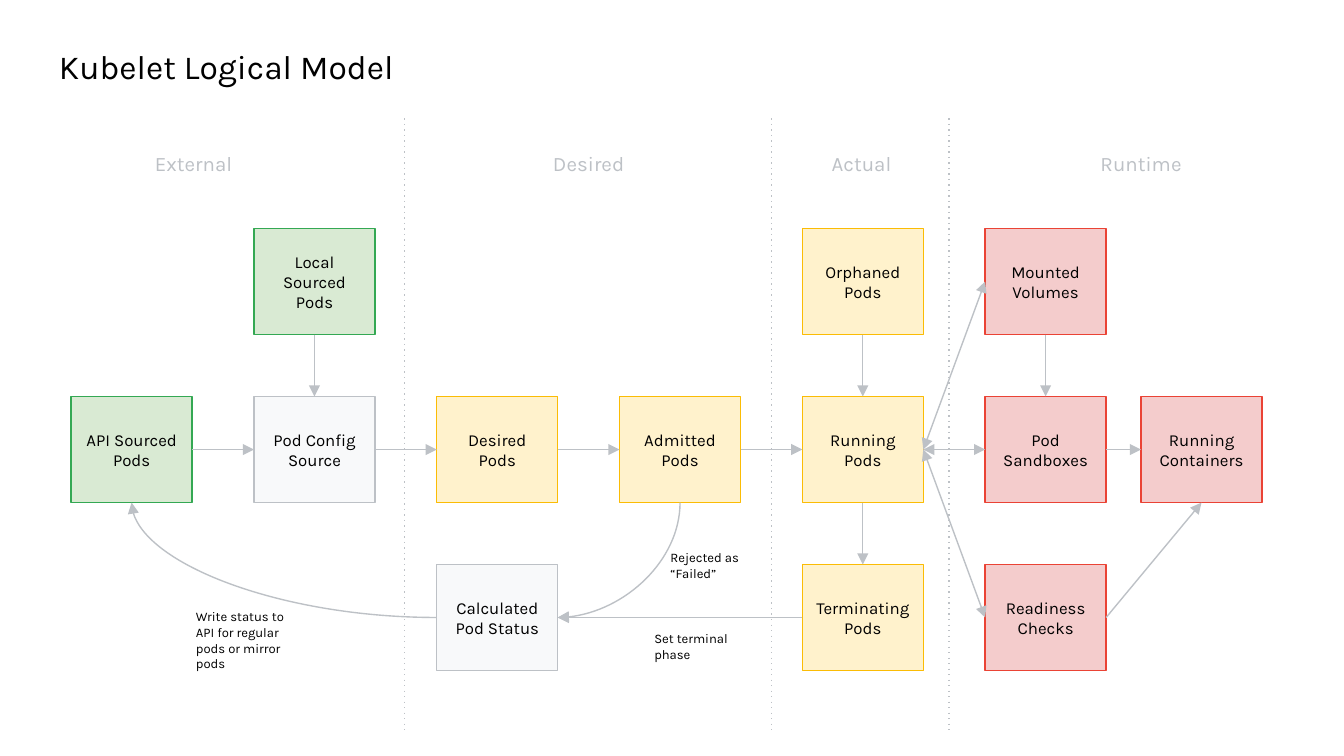
from lxml import etree
from pptx import Presentation
from pptx.dml.color import RGBColor
from pptx.enum.shapes import MSO_CONNECTOR, MSO_SHAPE
from pptx.enum.text import MSO_ANCHOR, MSO_AUTO_SIZE, PP_ALIGN
from pptx.oxml.ns import qn
from pptx.util import Inches, Pt

STRAIGHT, CURVE = MSO_CONNECTOR.STRAIGHT, MSO_CONNECTOR.CURVE
RECTANGLE = MSO_SHAPE.RECTANGLE
MIDDLE = MSO_ANCHOR.MIDDLE
FIT_SHAPE = MSO_AUTO_SIZE.SHAPE_TO_FIT_TEXT
LEFT, CENTER = PP_ALIGN.LEFT, PP_ALIGN.CENTER

FONT = "Karla"
COLORS = {"text": "000000", "gray": "BDC1C6"}
# Fill and border of each kind of box
FILLS = {"source": "D9EAD3", "neutral": "F8F9FA", "pod": "FFF2CC", "runtime": "F4CCCC"}
BORDERS = {"source": "34A853", "neutral": "BDC1C6", "pod": "FBBC05", "runtime": "EA4335"}

BOX_WIDTH, BOX_HEIGHT = 0.9, 0.79
COLUMN_STEP, ROW_STEP = 1.36, 1.25
LAST_COLUMN = 7.96 / COLUMN_STEP  # the last column stands closer to its neighbour

# Connection sites of a rectangle
TOP, LEFT_SIDE, BOTTOM, RIGHT_SIDE = range(4)

# Name: (column, row, kind, paragraphs)
BOXES = {
    "api": (0, 1, "source", ["API Sourced Pods"]),
    "local": (1, 0, "source", ["Local Sourced Pods"]),
    "config": (1, 1, "neutral", ["Pod Config Source"]),
    "desired": (2, 1, "pod", ["Desired", "Pods"]),
    "status": (2, 2, "neutral", ["Calculated Pod Status"]),
    "admitted": (3, 1, "pod", ["Admitted Pods"]),
    "orphaned": (4, 0, "pod", ["Orphaned Pods"]),
    "running": (4, 1, "pod", ["Running Pods"]),
    "terminating": (4, 2, "pod", ["Terminating Pods"]),
    "volumes": (5, 0, "runtime", ["Mounted Volumes"]),
    "sandboxes": (5, 1, "runtime", ["Pod Sandboxes"]),
    "readiness": (5, 2, "runtime", ["Readiness Checks"]),
    "containers": (LAST_COLUMN, 1, "runtime", ["Running Containers"]),
}

# (start box, its side, end box, its side, connector type, ends with an arrowhead)
ARROWS = [
    *[(start, RIGHT_SIDE, end, LEFT_SIDE, STRAIGHT, ["tailEnd"]) for start, end in [
        ("api", "config"), ("config", "desired"), ("desired", "admitted"),
        ("admitted", "running"), ("sandboxes", "containers")]],
    *[(start, BOTTOM, end, TOP, STRAIGHT, ["tailEnd"]) for start, end in [
        ("local", "config"), ("orphaned", "running"),
        ("running", "terminating"), ("volumes", "sandboxes")]],
    *[("running", RIGHT_SIDE, end, LEFT_SIDE, STRAIGHT, ["headEnd", "tailEnd"])
      for end in ["volumes", "sandboxes", "readiness"]],
    ("terminating", LEFT_SIDE, "status", RIGHT_SIDE, STRAIGHT, ["tailEnd"]),
    ("readiness", RIGHT_SIDE, "containers", BOTTOM, STRAIGHT, ["tailEnd"]),
    ("status", LEFT_SIDE, "api", BOTTOM, CURVE, ["tailEnd"]),
    # A quarter curve starts sideways, so this one runs back from its arrowhead
    ("status", RIGHT_SIDE, "admitted", BOTTOM, CURVE, ["headEnd"]),
]


def write_text(frame, paragraphs, size, color, alignment):
    frame.word_wrap = True
    frame.margin_left = frame.margin_right = Inches(0.1)
    frame.margin_top = frame.margin_bottom = Inches(0.1)
    for index, text in enumerate(paragraphs):
        paragraph = frame.add_paragraph() if index else frame.paragraphs[0]
        paragraph.alignment = alignment
        run = paragraph.add_run()
        run.text = text
        run.font.name = FONT
        run.font.size = Pt(size)
        run.font.color.rgb = RGBColor.from_string(COLORS[color])


def add_label(slide, left, top, width, height, text, size, color="text", alignment=LEFT):
    label = slide.shapes.add_textbox(
        Inches(left), Inches(top), Inches(width), Inches(height))
    write_text(label.text_frame, [text], size, color, alignment)
    label.text_frame.auto_size = FIT_SHAPE


def add_line(slide, kind, x1, y1, x2, y2):
    line = slide.shapes.add_connector(kind, x1, y1, x2, y2)
    line.line.color.rgb = RGBColor.from_string(COLORS["gray"])
    line.line.width = Pt(0.75)
    etree.SubElement(line._element.spPr, qn("a:effectLst"))
    return line


def add_box(slide, left, top, kind, paragraphs):
    box = slide.shapes.add_shape(
        RECTANGLE, Inches(left), Inches(top), Inches(BOX_WIDTH), Inches(BOX_HEIGHT))
    box.shadow.inherit = False
    box.fill.solid()
    box.fill.fore_color.rgb = RGBColor.from_string(FILLS[kind])
    box.line.color.rgb = RGBColor.from_string(BORDERS[kind])
    box.line.width = Pt(0.75)
    box.text_frame.vertical_anchor = MIDDLE
    write_text(box.text_frame, paragraphs, 9, "text", CENTER)
    return box


def add_arrow(slide, start, start_side, end, end_side, kind, heads):
    arrow = add_line(slide, kind, 0, 0, 0, 0)
    arrow.begin_connect(start, start_side)
    arrow.end_connect(end, end_side)
    if kind == CURVE:
        arrow._element.spPr.find(qn("a:prstGeom")).set("prst", "curvedConnector2")
    outline = arrow.line._get_or_add_ln()
    for head in heads:
        etree.SubElement(outline, qn(f"a:{head}"), type="triangle", w="med", len="med")


def draw_lanes(slide, left, top, height):
    """Draw the dotted separators and the heading of each lane."""
    for offset in [2.73, 5.46, 6.78]:
        x = Inches(left + offset)
        separator = add_line(slide, STRAIGHT, x, Inches(top), x, Inches(top + height))
        etree.SubElement(separator.line._get_or_add_ln(), qn("a:prstDash"), val="dot")
    for offset, name in [(0, "External"), (2.94, "Desired"), (4.97, "Actual"), (7.05, "Runtime")]:
        add_label(slide, left + offset, top + 0.15, 2.32, 0.39, name, 11, "gray", CENTER)


def draw_flow(slide, left, top):
    """Draw the grid of boxes, the arrows between them and the arrow notes."""
    boxes = {
        name: add_box(slide, left + column * COLUMN_STEP, top + row * ROW_STEP, kind, paragraphs)
        for name, (column, row, kind, paragraphs) in BOXES.items()
    }
    for start, start_side, end, end_side, kind, heads in ARROWS:
        add_arrow(slide, boxes[start], start_side, boxes[end], end_side, kind, heads)
    for x, y, height, note in [
        (4.36, 2.29, 0.44, "Rejected as “Failed”"),
        (4.24, 2.89, 0.44, "Set terminal phase"),
        (0.83, 2.73, 0.67, "Write status to API for regular pods or mirror pods"),
    ]:
        add_label(slide, left + x, top + y, 0.89, height, note, 7)


def main():
    presentation = Presentation()
    presentation.slide_width = Inches(10)
    presentation.slide_height = Inches(10 * 9 / 16)
    slide = presentation.slides.add_slide(presentation.slide_layouts[6])
    add_label(slide, 0.34, 0.24, 5.74, 0.5, "Kubelet Logical Model", 18)
    draw_lanes(slide, 0.28, 0.88, 4.58)
    draw_flow(slide, 0.53, 1.7)
    presentation.save("out.pptx")


if __name__ == "__main__":
    main()
